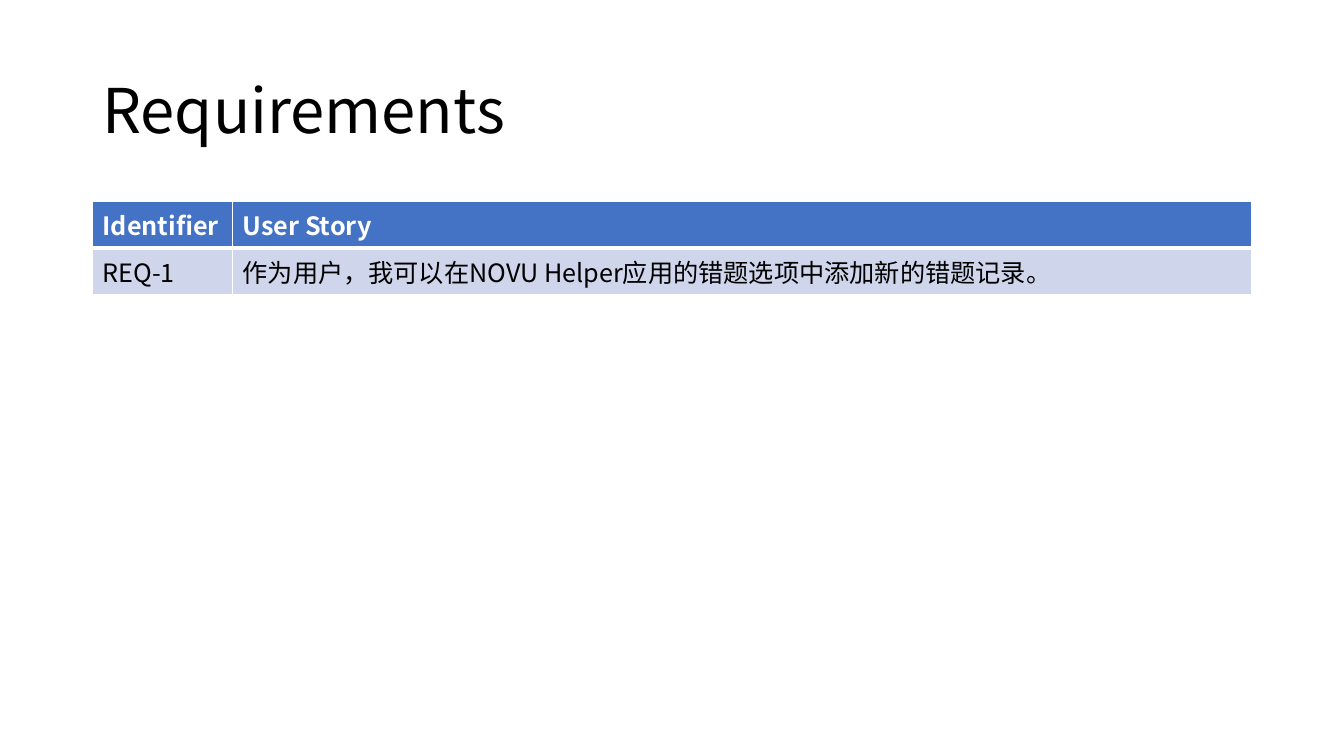
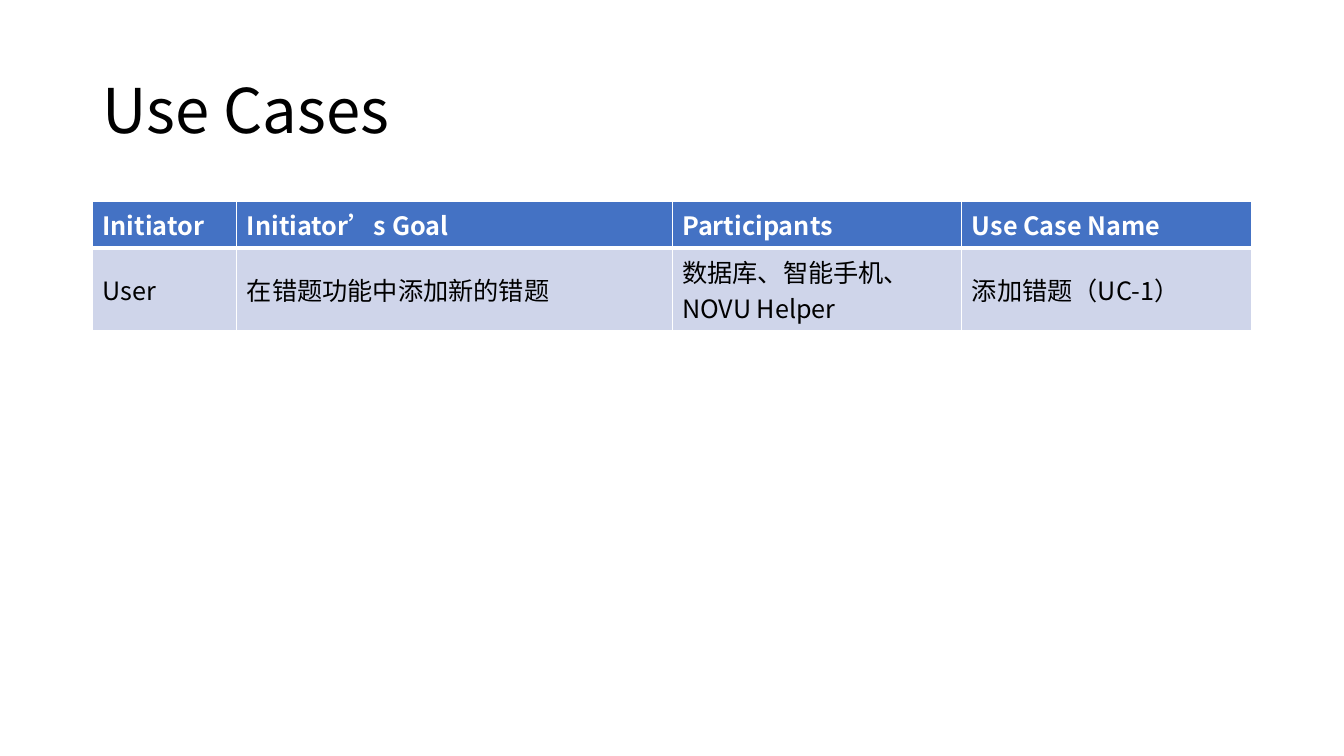
from pptx import Presentation
from pptx import util as u
from pptx.dml import color
from pptx.enum import text
from pptx.oxml import ns
from lxml import etree

# Shared style
FONT = "Noto Sans CJK SC"
BLACK, WHITE = "000000", "FFFFFF"
HEAD, BODY = "4472C4", "CFD5EA"
LEFT, WIDTH = 2.33, 29.21
# Row heights for one and two lines of text
ONE, TWO = 1.17, 2.09
THIN, THICK = 1, 3


def rgb(code):
    return color.RGBColor.from_string(code)


def style(para, size, code, bold=False):
    for run in para.runs:
        font = run.font
        font.name, font.size, font.bold = FONT, u.Pt(size), bold
        font.color.rgb = rgb(code)
        # East Asian typeface
        etree.SubElement(run._r.rPr, ns.qn("a:ea"), typeface=FONT)


def border(cell, side, width):
    props = cell._tc.get_or_add_tcPr()
    line = etree.SubElement(props, ns.qn("a:ln" + side), w=str(u.Pt(width)))
    fill = etree.SubElement(line, ns.qn("a:solidFill"))
    etree.SubElement(fill, ns.qn("a:srgbClr"), val=WHITE)


def title(slide, words):
    box = slide.shapes.add_textbox(u.Cm(LEFT), u.Cm(1.02), u.Cm(WIDTH), u.Cm(3.68))
    frame = box.text_frame
    frame.word_wrap = True
    frame.vertical_anchor = text.MSO_ANCHOR.MIDDLE
    frame.text = words
    para = frame.paragraphs[0]
    para.line_spacing = 0.9
    style(para, 44, BLACK)


def fill_cell(cell, words, head):
    cell.text = words
    cell.vertical_anchor = text.MSO_ANCHOR.TOP if head else text.MSO_ANCHOR.MIDDLE
    style(cell.text_frame.paragraphs[0], 18, WHITE if head else BLACK, head)
    # The thick rule lies between the header and the body
    thick = "B" if head else "T"
    for side in "LRTB":
        border(cell, side, THICK if side == thick else THIN)
    cell.fill.solid()
    cell.fill.fore_color.rgb = rgb(HEAD if head else BODY)


def table(slide, widths, heights, rows):
    frame = slide.shapes.add_table(
        len(rows), len(widths), u.Cm(LEFT), u.Cm(5.08),
        u.Cm(WIDTH), u.Cm(sum(heights)))
    grid = frame.table
    for col, width in zip(grid.columns, widths):
        col.width = u.Cm(width)
    for r, (height, row) in enumerate(zip(heights, rows)):
        grid.rows[r].height = u.Cm(height)
        for c, words in enumerate(row):
            fill_cell(grid.cell(r, c), words, r == 0)


def page(deck, name, widths, heights, rows):
    slide = deck.slides.add_slide(deck.slide_layouts[6])
    title(slide, name)
    table(slide, widths, heights, rows)


def main():
    deck = Presentation()
    deck.slide_width, deck.slide_height = u.Cm(33.87), u.Cm(19.05)

    # Requirements
    page(deck, "Requirements", [3.53, 25.68], [ONE, ONE], [
        ["Identifier", "User Story"],
        ["REQ-1", "作为用户，我可以在NOVU Helper应用的错题选项中添加新的错题记录。"],
    ])

    # Use cases
    page(deck, "Use Cases", [3.64, 10.97, 7.3, 7.3], [ONE, TWO], [
        ["Initiator", "Initiator’s Goal", "Participants", "Use Case Name"],
        ["User", "在错题功能中添加新的错题", "数据库、智能手机、NOVU Helper",
         "添加错题（UC-1）"],
    ])

    deck.save("out.pptx")


if __name__ == "__main__":
    main()
